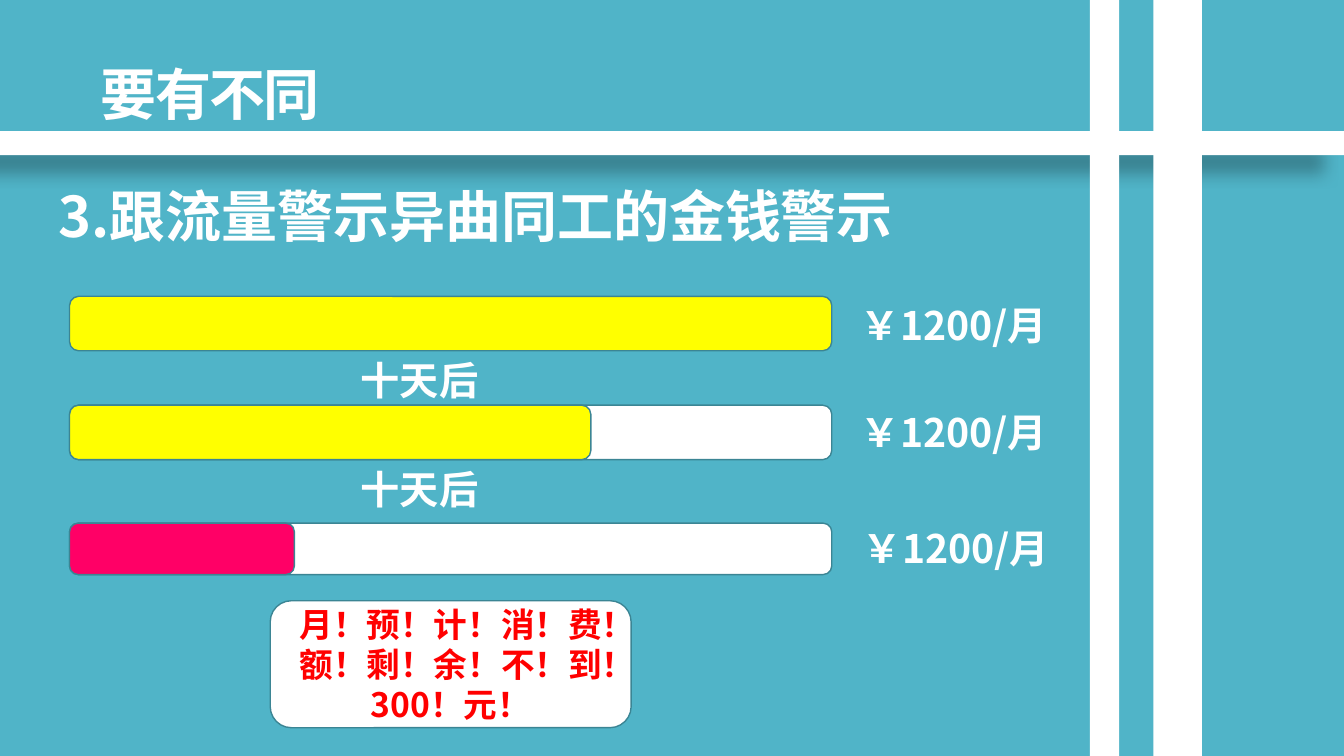
"""Build a slide on spending alerts that work like data-usage alerts."""
from dataclasses import dataclass

from pptx import Presentation
from pptx.dml import color
from pptx.enum import shapes, text
from pptx.oxml import ns, xmlchemy
from pptx.util import Inches, Pt


@dataclass(frozen=True)
class Theme:
    """Colours, type sizes and font of the slide."""
    background: str = "50B4C8"
    white: str = "FFFFFF"
    outline: str = "3B8594"
    enough: str = "FFFF00"
    low: str = "FF0066"
    warning: str = "FF0000"
    shadow: str = "000000"
    font: str = "Noto Sans CJK SC"
    heading: int = 40
    label: int = 28
    alert: int = 24


THEME = Theme()
BAR_LEFT, BAR_WIDTH = 0.69, 7.56


def rgb(value):
    """Turn a hex string into a colour."""
    return color.RGBColor.from_string(value)


def append_xml(parent, tag, **attributes):
    """Append a DrawingML child with attributes and return it."""
    child = xmlchemy.OxmlElement(tag)
    for name, value in attributes.items():
        child.set(name, str(value))
    parent.append(child)
    return child


def place(item, left, top, width, height):
    """Position an element, in inches."""
    box = {"left": left, "top": top, "width": width, "height": height}
    for name, value in box.items():
        setattr(item, name, Inches(value))


def write(item, wording, size, ink=THEME.white, paragraph_format=None, **frame_format):
    """Write one bold paragraph into an element and return its run."""
    frame = item.text_frame
    for name, value in {"word_wrap": True, **frame_format}.items():
        setattr(frame, name, value)
    paragraph = frame.paragraphs[0]
    for name, value in (paragraph_format or {}).items():
        setattr(paragraph, name, value)
    run = paragraph.add_run()
    run.text = wording
    for name, value in {"name": THEME.font, "size": Pt(size), "bold": True}.items():
        setattr(run.font, name, value)
    run.font.color.rgb = rgb(ink)
    append_xml(run.font._element, "a:ea", typeface=THEME.font)
    return run


def add_title(slide, wording):
    """Move and format the title placeholder."""
    title = slide.shapes.title
    place(title, 0.9, 0.25, 2.6, 1.05)
    run = write(title, wording, THEME.heading,
                paragraph_format={"alignment": text.PP_ALIGN.LEFT, "line_spacing": 0.8},
                vertical_anchor=text.MSO_ANCHOR.BOTTOM,
                auto_size=text.MSO_AUTO_SIZE.NONE)
    run.font._element.set("spc", "-120")


def add_label(slide, wording, left, top, width, height=0.57, size=THEME.label):
    """Add a text box that grows with its text."""
    label = slide.shapes.add_textbox(*map(Inches, (left, top, width, height)))
    write(label, wording, size, auto_size=text.MSO_AUTO_SIZE.SHAPE_TO_FIT_TEXT)


def add_block(slide, box, fill, outline=None, kind=shapes.MSO_SHAPE.ROUNDED_RECTANGLE):
    """Add a flat filled shape, outlined if a colour is given."""
    block = slide.shapes.add_shape(kind, *map(Inches, box))
    block.shadow.inherit = False
    block.fill.solid()
    block.fill.fore_color.rgb = rgb(fill)
    if outline:
        block.line.color.rgb = rgb(outline)
        block.line.width = Pt(1)
    else:
        block.line.fill.background()
    return block


def add_ribbons(slide):
    """Add the white crossing ribbons, the horizontal one with a shadow."""
    ribbons = [
        add_block(slide, box, THEME.white, kind=shapes.MSO_SHAPE.RECTANGLE)
        for box in ((0, 1.3, 13.33, 0.24), (10.81, 0, 0.29, 7.5), (11.44, 0, 0.48, 7.5))
    ]
    effects = ribbons[0]._element.spPr.find(ns.qn("a:effectLst"))
    shadow = append_xml(effects, "a:outerShdw", blurRad=Pt(11.8), dist=Pt(19.7),
                        dir=141 * 60000, algn="tl", rotWithShape=0)
    shade = append_xml(shadow, "a:srgbClr", val=THEME.shadow)
    append_xml(shade, "a:alpha", val=28000)


def add_budget(slide, top, height, remaining, fill, price_left, price_top):
    """Add a budget bar with its remaining part and monthly price."""
    if remaining < BAR_WIDTH:
        add_block(slide, (BAR_LEFT, top, BAR_WIDTH, height), THEME.white, THEME.outline)
    add_block(slide, (BAR_LEFT, top, remaining, height), fill, THEME.outline)
    add_label(slide, "￥1200/月", price_left, price_top, 2.21)


def add_alert(slide, wording):
    """Add the low-balance alert bubble."""
    alert = add_block(slide, (2.68, 5.96, 3.58, 1.26), THEME.white, THEME.outline)
    write(alert, wording, THEME.alert, THEME.warning,
          paragraph_format={"alignment": text.PP_ALIGN.CENTER},
          vertical_anchor=text.MSO_ANCHOR.MIDDLE)


def main():
    """Compose and save the slide."""
    deck = Presentation()
    deck.slide_width, deck.slide_height = Inches(13.33), Inches(7.5)
    slide = deck.slides.add_slide(deck.slide_layouts[5])
    slide.background.fill.solid()
    slide.background.fill.fore_color.rgb = rgb(THEME.background)

    add_title(slide, "要有不同")
    add_ribbons(slide)
    add_label(slide, "3.跟流量警示异曲同工的金钱警示", 0.48, 1.75, 9.69, 0.77, THEME.heading)
    for budget in (
        (2.94, 0.54, BAR_WIDTH, THEME.enough, 8.44, 2.94),
        (4.02, 0.54, 5.17, THEME.enough, 8.44, 4),
        (5.19, 0.51, 2.23, THEME.low, 8.46, 5.15),
    ):
        add_budget(slide, *budget)
    add_alert(slide, "月！预！计！消！费！额！剩！余！不！到！300！元！")
    for interval_top in (3.49, 4.57):
        add_label(slide, "十天后", 3.48, interval_top, 1.5)
    deck.save("out.pptx")


if __name__ == "__main__":
    main()
